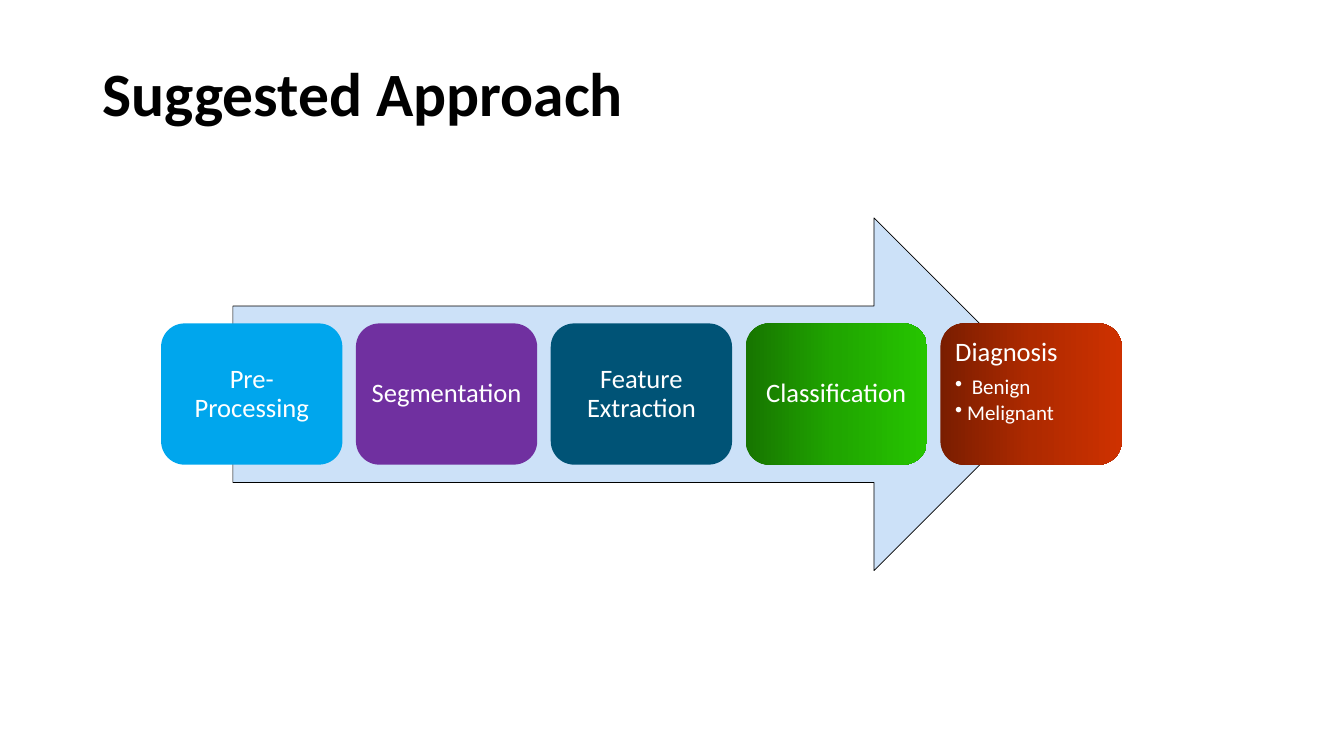
from copy import deepcopy

from lxml.etree import SubElement
from pptx import Presentation
from pptx.dml.color import RGBColor
from pptx.enum.shapes import MSO_SHAPE
from pptx.enum.text import MSO_ANCHOR, PP_ALIGN
from pptx.oxml.ns import qn
from pptx.util import Cm, Pt

COLORS = {
    "title": "000000",
    "outline": "000000",
    "label": "FFFFFF",
    "arrow": "CCE1F8",
    "preprocessing": "00A6ED",
    "segmentation": "7030A0",
    "extraction": "005376",
    "classification": ("177500", "20A600", "26C500"),
    "diagnosis": ("7A1D00", "AE2A00", "CE3100"),
}
FONT = "Calibri"
STEPS = [
    ("Pre-Processing", "preprocessing"),
    ("Segmentation", "segmentation"),
    ("Feature Extraction", "extraction"),
    ("Classification", "classification"),
    ("Diagnosis", "diagnosis"),
]
OUTCOMES = [" Benign", "Melignant"]
STEP_LEFT, STEP_TOP, STEP_PITCH = 4.06, 8.15, 4.91
STEP_WIDTH, STEP_HEIGHT = 4.57, 3.56


def write(paragraph, text, *, size, color, bold=False, align=PP_ALIGN.LEFT, after=0):
    paragraph.alignment = align
    paragraph.line_spacing = 0.9
    paragraph.space_before = Pt(0)
    paragraph.space_after = Pt(after)
    run = paragraph.add_run()
    run.text = text
    run.font.name = FONT
    run.font.size = Pt(size)
    run.font.bold = bold
    run.font.color.rgb = RGBColor.from_string(COLORS[color])


def add_bullet(paragraph):
    properties = paragraph._p.get_or_add_pPr()
    properties.set("marL", str(Cm(0.3)))
    properties.set("indent", str(-Cm(0.3)))
    SubElement(properties, qn("a:buChar")).set("char", "•")


def fill_gradient(fill, hex_stops):
    """Fill from left to right through three evenly spaced colours."""
    fill.gradient()
    fill.gradient_angle = 0
    first = fill.gradient_stops[0]._gs
    middle = deepcopy(first)
    middle.set("pos", "50000")
    first.addnext(middle)
    for stop, hex_color in zip(fill.gradient_stops, hex_stops):
        stop.color.rgb = RGBColor.from_string(hex_color)


def add_block(slide, preset, left, top, width, height, color):
    block = slide.shapes.add_shape(preset, Cm(left), Cm(top), Cm(width), Cm(height))
    block.shadow.inherit = False
    block.line.fill.background()
    paint = COLORS[color]
    if isinstance(paint, tuple):
        fill_gradient(block.fill, paint)
    else:
        block.fill.solid()
        block.fill.fore_color.rgb = RGBColor.from_string(paint)
    return block


def add_title(slide, text):
    title = slide.shapes.title
    title.left, title.top, title.width, title.height = Cm(2.33), Cm(1.01), Cm(29.21), Cm(2.84)
    title.text_frame.vertical_anchor = MSO_ANCHOR.MIDDLE
    write(title.text_frame.paragraphs[0], text, size=44, color="title", bold=True)


def add_arrow(slide):
    arrow = add_block(slide, MSO_SHAPE.RIGHT_ARROW, 5.87, 5.49, 20.6, 8.89, "arrow")
    arrow.line.color.rgb = RGBColor.from_string(COLORS["outline"])
    arrow.line.width = Pt(0.5)


def add_step(slide, index, label, color, outcomes=()):
    step = add_block(slide, MSO_SHAPE.ROUNDED_RECTANGLE, STEP_LEFT + index * STEP_PITCH,
                     STEP_TOP, STEP_WIDTH, STEP_HEIGHT, color)
    frame = step.text_frame
    frame.word_wrap = True
    frame.margin_left = frame.margin_right = frame.margin_top = frame.margin_bottom = Cm(0.2)
    frame.vertical_anchor = MSO_ANCHOR.TOP if outcomes else MSO_ANCHOR.MIDDLE
    align = PP_ALIGN.LEFT if outcomes else PP_ALIGN.CENTER
    write(frame.paragraphs[0], label, size=19, color="label", align=align, after=6.65)
    for outcome in outcomes:
        paragraph = frame.add_paragraph()
        paragraph.level = 1
        write(paragraph, outcome, size=15, color="label", after=2.25)
        add_bullet(paragraph)


def main():
    presentation = Presentation()
    presentation.slide_width, presentation.slide_height = Cm(33.87), Cm(19.05)
    slide = presentation.slides.add_slide(presentation.slide_layouts[5])
    add_title(slide, "Suggested Approach")
    add_arrow(slide)
    for index, (label, color) in enumerate(STEPS):
        add_step(slide, index, label, color, OUTCOMES if color == "diagnosis" else ())
    presentation.save("out.pptx")


if __name__ == "__main__":
    main()
